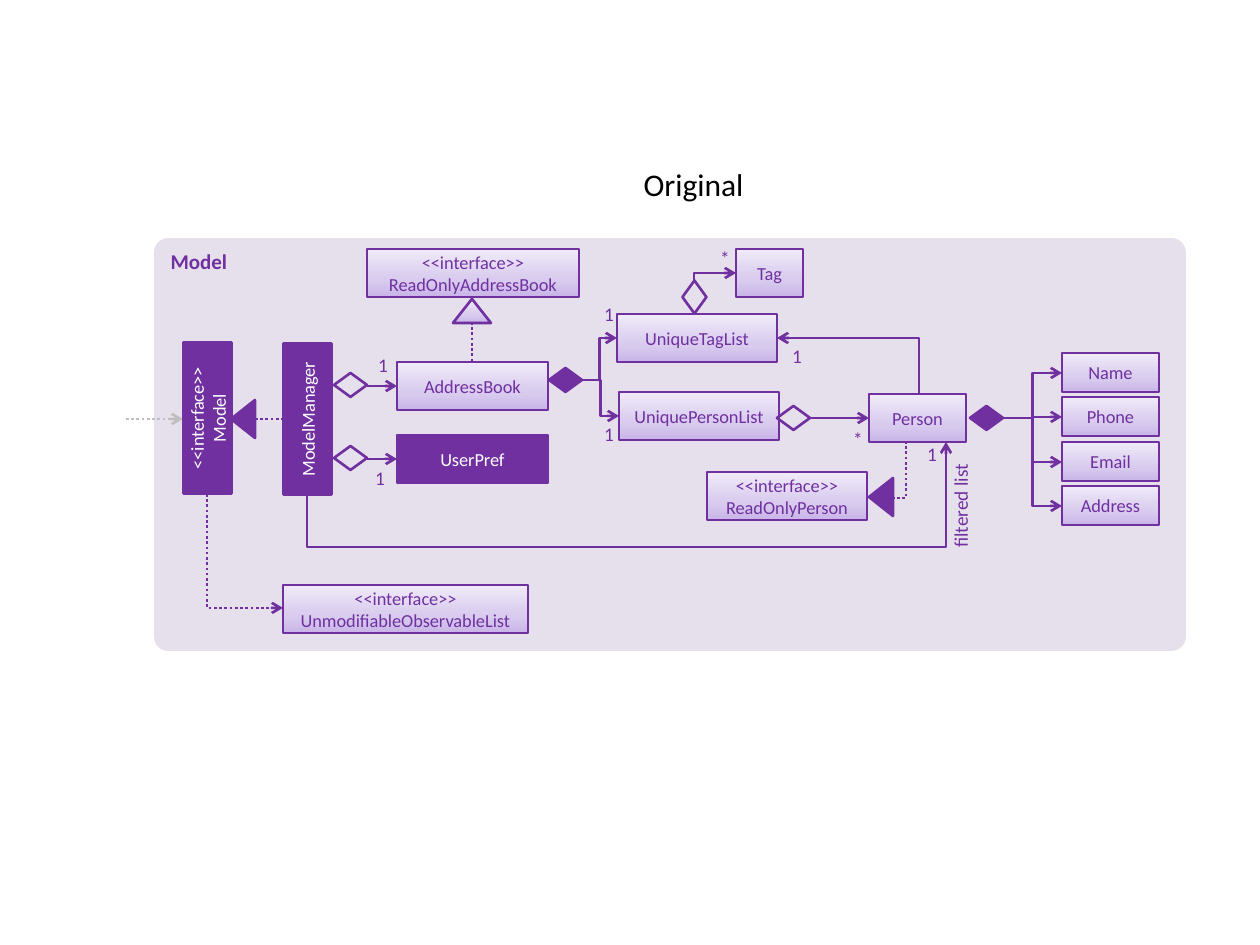
from copy import deepcopy
from pptx import Presentation
from pptx import util as u
from pptx.dml.color import RGBColor
from pptx.enum import dml, shapes, text
from pptx.oxml.ns import qn
from lxml import etree

PX = 914400 // 126
SHAPE, LINK = shapes.MSO_SHAPE, shapes.MSO_CONNECTOR
ALIGN, ANCHOR = text.PP_ALIGN, text.MSO_ANCHOR
PURPLE, PALE, GREY, WHITE, BLACK = "7030A0", "E6E0EC", "BFBFBF", "FFFFFF", "000000"
GRADIENT = [(0, "C9B5E8"), (0.35, "D8CBEE"), (1, "F0EAF9")]


def px(*values):
    return [u.Emu(round(v * PX)) for v in values]


def rgb(value):
    return RGBColor.from_string(value)


def write(tf, content, size=10.5, color=PURPLE, bold=False, align=ALIGN.CENTER,
          anchor=ANCHOR.MIDDLE, inset=None, wrap=True):
    tf.word_wrap = wrap
    tf.auto_size = text.MSO_AUTO_SIZE.NONE
    tf.vertical_anchor = anchor
    if inset is not None:
        tf.margin_left = tf.margin_right = tf.margin_top = tf.margin_bottom = inset
    p = tf.paragraphs[0]
    p.text = content
    p.alignment = align
    for r in p.runs:
        r.font.name, r.font.size, r.font.bold = "Calibri", u.Pt(size), bold
        r.font.color.rgb = rgb(color)


class Diagram:
    line_width = u.Pt(1.5)

    def __init__(self, prs):
        self.s = prs.slides.add_slide(prs.slide_layouts[5])

    def title(self, content, x, y, w, h):
        sp = self.s.shapes.title
        sp.left, sp.top, sp.width, sp.height = px(x, y, w, h)
        write(sp.text_frame, content, size=18, color=BLACK, align=ALIGN.LEFT,
              anchor=ANCHOR.TOP, wrap=False)

    def shape(self, kind, x, y, w, h, fill=None, line=PURPLE, rot=0):
        sp = self.s.shapes.add_shape(kind, *px(x, y, w, h))
        sp.shadow.inherit = False
        sp.rotation = rot
        if fill is None:
            sp.fill.background()
        elif fill is GRADIENT:
            self.gradient(sp)
        else:
            sp.fill.solid()
            sp.fill.fore_color.rgb = rgb(fill)
        if line:
            sp.line.color.rgb = rgb(line)
            sp.line.width = self.line_width
        else:
            sp.line.fill.background()
        return sp

    def gradient(self, sp):
        sp.fill.gradient()
        sp.fill.gradient_angle = 90
        stops = sp._element.spPr.find(".//" + qn("a:gsLst"))
        stops.append(deepcopy(stops[-1]))
        for stop, (position, color) in zip(sp.fill.gradient_stops, GRADIENT):
            stop.position = position
            stop.color.rgb = rgb(color)

    def box(self, content, x, y, w, h=48, fill=GRADIENT, rot=0):
        sp = self.shape(SHAPE.RECTANGLE, x, y, w, h, fill, rot=rot)
        write(sp.text_frame, content, color=PURPLE if fill is GRADIENT else WHITE)

    def diamond(self, x, y, fill=None, rot=0):
        self.shape(SHAPE.FLOWCHART_DECISION, x, y, 33, 24, fill, rot=rot)

    def triangle(self, x, y, fill=PURPLE, rot=270):
        self.shape(SHAPE.ISOSCELES_TRIANGLE, x, y, 38, 24, fill, rot=rot)

    def label(self, content, x, y, w=26, h=25, rot=0, **fmt):
        sp = self.s.shapes.add_textbox(*px(x, y, w, h))
        sp.rotation = rot
        write(sp.text_frame, content, size=11, anchor=ANCHOR.TOP, **fmt)

    def link(self, x1, y1, x2, y2, kind=LINK.STRAIGHT, color=PURPLE, dotted=False,
             arrow=True):
        c = self.s.shapes.add_connector(kind, *px(x1, y1, x2, y2))
        c.line.color.rgb = rgb(color)
        c.line.width = self.line_width
        if dotted:
            c.line.dash_style = dml.MSO_LINE.ROUND_DOT
        spPr = c._element.spPr
        if arrow:
            etree.SubElement(spPr.find(qn("a:ln")), qn("a:tailEnd"), type="arrow")
        etree.SubElement(spPr, qn("a:effectLst"))
        return c

    def corner(self, x1, y1, x2, y2, vertical_first=True, preset="bentConnector2",
               adjust=(), **fmt):
        c = self.link(x1, y1, x2, y2, LINK.ELBOW, **fmt)
        spPr = c._element.spPr
        geom = spPr.find(qn("a:prstGeom"))
        geom.set("prst", preset)
        for i, value in enumerate(adjust, 1):
            etree.SubElement(geom.find(qn("a:avLst")), qn("a:gd"),
                             name=f"adj{i}", fmla=f"val {round(value * 100000)}")
        if vertical_first:
            # Turn the frame a quarter about its centre
            dx, dy = x2 - x1, y2 - y1
            w, h = abs(dy), abs(dx)
            c.left, c.top, c.width, c.height = px(
                (x1 + x2 - w) / 2, (y1 + y2 - h) / 2, w, h)
            xfrm = spPr.find(qn("a:xfrm"))
            xfrm.set("rot", str((90 if dy > 0 else 270) * 60000))
            xfrm.set("flipH", "0")
            xfrm.set("flipV", "1" if (dy > 0) == (dx > 0) else "0")


prs = Presentation()
prs.slide_width, prs.slide_height = u.Inches(10), u.Inches(7.5)
d = Diagram(prs)
d.title("Original", 631, 159, 126, 50)

# Component area
area = d.shape(SHAPE.ROUNDED_RECTANGLE, 154, 238, 1032, 413, PALE, line=None)
area.adjustments[0] = 0.035
write(area.text_frame, "Model", size=12, bold=True, align=ALIGN.LEFT, anchor=ANCHOR.TOP)

# Links between classes
d.link(126, 419, 183, 419, color=GREY, dotted=True)
d.link(255, 419, 284, 419, dotted=True, arrow=False)
d.link(472, 322, 472, 362, dotted=True, arrow=False)
for y in (386, 459):
    d.link(367, y, 397, y)
d.link(810, 418, 869, 418)
for x, y in ((617, 338), (619, 416)):
    d.link(582, 380, x, y, LINK.ELBOW)
d.corner(892, 498, 906, 440, vertical_first=False, dotted=True, arrow=False)
d.corner(307, 494, 946, 442, preset="bentConnector4", adjust=(-1.02, 1))
d.corner(694, 281, 736, 273)
d.corner(207, 494, 283, 608, dotted=True)
d.corner(919, 394, 777, 338)

# Classes and interfaces
d.box("<<interface>>\vModel", 132, 394, 151, fill=PURPLE, rot=270)
d.box("ModelManager", 232, 395, 151, fill=PURPLE, rot=270)
d.box("UserPref", 397, 435, 151, fill=PURPLE)
for name, x, y, w in (
        ("AddressBook", 397, 362, 151),
        ("UniqueTagList", 617, 314, 160),
        ("UniquePersonList", 619, 392, 160),
        ("Person", 869, 394, 97),
        ("Tag", 736, 249, 67),
        ("<<interface>>\vReadOnlyPerson", 707, 472, 160),
        ("<<interface>>\vReadOnlyAddressBook", 367, 249, 212),
        ("<<interface>>\vUnmodifiableObservableList", 283, 585, 245)):
    d.box(name, x, y, w)

# Fields of a person
for i, name in enumerate(("Name", "Phone", "Email", "Address")):
    y = 353 + i * 89 // 2
    d.box(name, 1062, y, 97, 39)
    d.link(1003, 418, 1062, y + 20, LINK.ELBOW)

# Aggregation, composition and inheritance marks
for x, y in ((334, 373), (334, 446), (777, 406)):
    d.diamond(x, y)
d.diamond(678, 285, rot=270)
for x, y in ((549, 368), (970, 406)):
    d.diamond(x, y, PURPLE)
d.triangle(224, 407)
d.triangle(862, 485)
d.triangle(453, 299, GRADIENT, rot=0)

# Multiplicities and role
for mark, x, y in (("1", 596, 302), ("1", 596, 422), ("1", 784, 344), ("*", 712, 246),
                   ("*", 845, 427), ("1", 370, 353), ("1", 367, 466), ("1", 919, 442)):
    d.label(mark, x, y, inset=0)
d.label("filtered list", 900, 494, 121, 36, rot=270, align=ALIGN.RIGHT)

prs.save("out.pptx")
